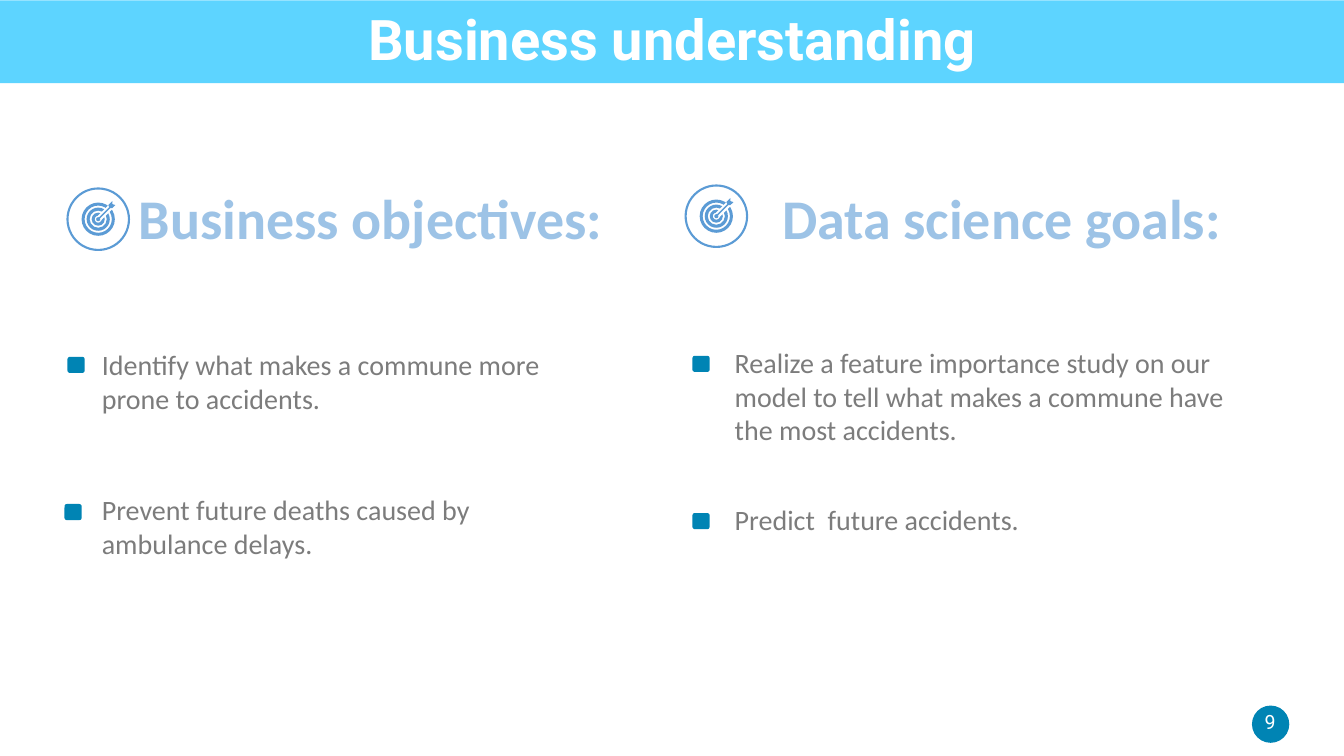
from lxml.etree import SubElement
from pptx import Presentation
from pptx.dml.color import RGBColor
from pptx.enum.shapes import MSO_CONNECTOR, MSO_SHAPE
from pptx.enum.text import MSO_ANCHOR, PP_ALIGN
from pptx.oxml.ns import qn
from pptx.util import Inches, Pt

WIDTH, HEIGHT = Inches(13.33), Inches(7.5)
COLORS = {
    "band": "5DD4FF",
    "marker": "0084B4",
    "target": "5B9BD5",
    "heading": "9DC3E6",
    "body": "7C7C7C",
    "white": "FFFFFF",
}
INSET = 0.1, 0.05
MARKER_SIZE = 1.28, 2.13
POINT_WIDTH = 36.5
LINE_SHARE = 4.45
BADGE_SIZE = 0.61
RING_WIDTH = 0.03
RING_RADII = 0.165, 0.115, 0.065
BULLSEYE_RADIUS = 0.02
ARROW = [(0, -0.01), (0.11, -0.12), (0.1, -0.14), (0.14, -0.18), (0.14, -0.15),
         (0.17, -0.14), (0.14, -0.11), (0.12, -0.11), (0.01, 0)]

COLUMNS = [
    ("Business objectives:", (9.6, 36.45), (7.31, 29), 7.58, [
        ("Identify what makes a commune more prone to accidents.", 46, 2, (5.02, 47.2)),
        ("Prevent future deaths caused by ambulance delays.", 65.2, 2, (4.8, 66.67)),
    ]),
    ("Data science goals:", (57.45, 34.5), (53.3, 28.6), 54.67, [
        ("Realize a feature importance study on our model to tell what makes "
         "a commune have the most accidents.", 45.73, 3, (51.52, 47.07)),
        ("Predict  future accidents.", 66.53, 1, (51.52, 67.87)),
    ]),
]


def color(name):
    return RGBColor.from_string(COLORS[name])


def across(percent):
    return round(WIDTH * percent / 100)


def down(percent):
    return round(HEIGHT * percent / 100)


def place(left, top, width, height):
    return across(left), down(top), across(width), down(height)


def paint(shape, fill, line=None):
    shape.shadow.inherit = False
    shape.fill.solid()
    shape.fill.fore_color.rgb = color(fill)
    if line:
        shape.line.color.rgb = color(line)
        shape.line.width = Pt(1.5)
    else:
        shape.line.fill.background()
    return shape


def add_block(slide, kind, area, fill):
    return paint(slide.shapes.add_shape(kind, *place(*area)), fill)


def add_text(slide, area, words, size, font, ink, bold=False,
             align=PP_ALIGN.LEFT, anchor=MSO_ANCHOR.TOP, inset=INSET, spacing=None):
    frame = slide.shapes.add_textbox(*place(*area)).text_frame
    frame.word_wrap = True
    frame.vertical_anchor = anchor
    frame.margin_left = frame.margin_right = Inches(inset[0])
    frame.margin_top = frame.margin_bottom = Inches(inset[1])
    paragraph = frame.paragraphs[0]
    paragraph.text = words
    paragraph.alignment = align
    paragraph.line_spacing = spacing
    paragraph.font.name = font
    paragraph.font.size = Pt(size)
    paragraph.font.bold = bold
    paragraph.font.color.rgb = color(ink)


def add_round(slide, kind, center, radius, fill, line=None):
    x, y = center
    half = Inches(radius)
    disc = slide.shapes.add_shape(kind, x - half, y - half, 2 * half, 2 * half)
    return paint(disc, fill, line)


def add_target(slide, center):
    add_round(slide, MSO_SHAPE.OVAL, center, BADGE_SIZE / 2, "white", "target")
    for radius in RING_RADII:
        ring = add_round(slide, MSO_SHAPE.DONUT, center, radius, "target")
        ring.adjustments[0] = RING_WIDTH / (2 * radius)
    x, y = center
    reach = Inches(0.13)
    gap = slide.shapes.add_connector(MSO_CONNECTOR.STRAIGHT, x, y, x + reach, y - reach)
    gap.line.color.rgb = color("white")
    gap.line.width = Pt(4)
    SubElement(gap.element.spPr, qn("a:effectLst"))
    add_round(slide, MSO_SHAPE.OVAL, center, BULLSEYE_RADIUS, "target")
    corners = [(x + Inches(dx), y + Inches(dy)) for dx, dy in ARROW]
    outline = slide.shapes.build_freeform(*corners[0])
    outline.add_line_segments(corners[1:], close=True)
    paint(outline.convert_to_shape(), "target")


def add_point(slide, left, words, top, lines, marker_corner):
    marker = add_block(slide, MSO_SHAPE.ROUNDED_RECTANGLE,
                       (*marker_corner, *MARKER_SIZE), "marker")
    marker.adjustments[0] = 0.15
    add_text(slide, (left, top, POINT_WIDTH, lines * LINE_SHARE), words,
             20, "Calibri", "body", inset=(0, 0))


def add_column(slide, heading, heading_span, target_center, text_left, points):
    left, width = heading_span
    x, y = target_center
    add_target(slide, (across(x), down(y)))
    add_text(slide, (left, 23.6, width, 10.27), heading, 40, "Calibri", "heading", bold=True)
    for point in points:
        add_point(slide, text_left, *point)


def main():
    deck = Presentation()
    deck.slide_width, deck.slide_height = WIDTH, HEIGHT
    slide = deck.slides.add_slide(deck.slide_layouts[6])
    add_block(slide, MSO_SHAPE.RECTANGLE, (0, 0.07, 100, 10.93), "band")
    add_text(slide, (0, 0, 100, 11.2), "Business understanding", 40, "Roboto", "white",
             bold=True, align=PP_ALIGN.CENTER, anchor=MSO_ANCHOR.MIDDLE, spacing=0.9)
    for column in COLUMNS:
        add_column(slide, *column)
    add_block(slide, MSO_SHAPE.OVAL, (93.15, 93.33, 2.78, 4.93), "marker")
    add_text(slide, (93, 93.2, 3, 4.53), "9", 14, "Roboto", "white", align=PP_ALIGN.CENTER)
    deck.save("out.pptx")


if __name__ == "__main__":
    main()
